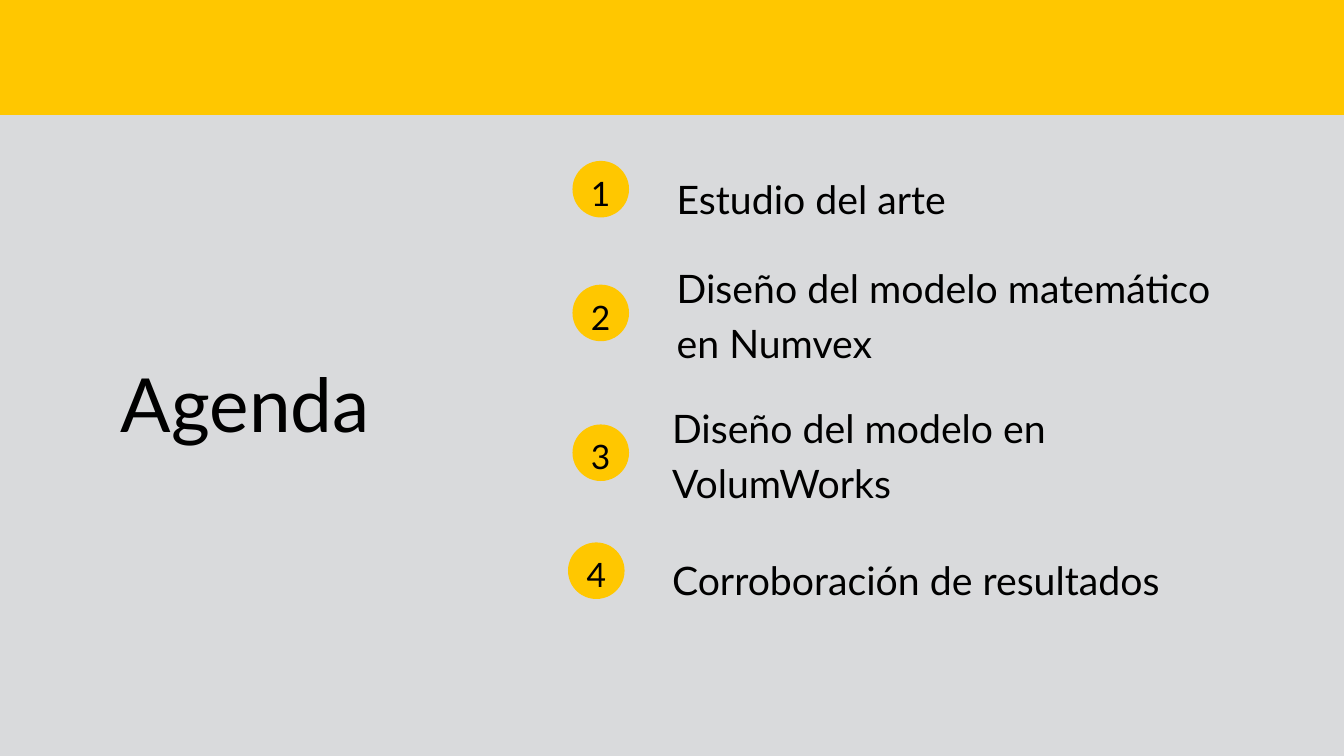
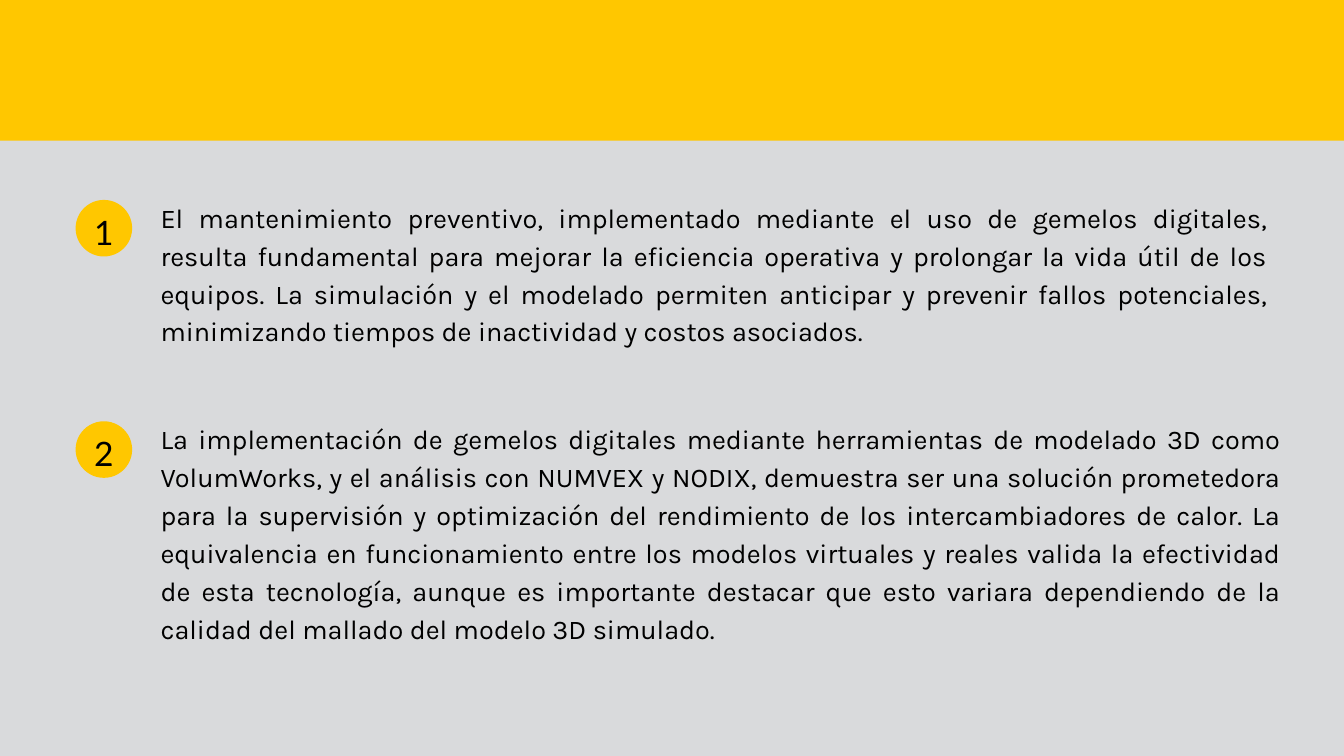
from dataclasses import dataclass

from pptx import Presentation
from pptx.dml.color import RGBColor
from pptx.enum.shapes import MSO_SHAPE
from pptx.enum.text import MSO_ANCHOR, PP_ALIGN
from pptx.util import Pt

RECT, OVAL = MSO_SHAPE.RECTANGLE, MSO_SHAPE.OVAL
TOP, MIDDLE = MSO_ANCHOR.TOP, MSO_ANCHOR.MIDDLE
LEFT, CENTER, JUSTIFY = PP_ALIGN.LEFT, PP_ALIGN.CENTER, PP_ALIGN.JUSTIFY
TITLE_ONLY, BLANK = 5, 6  # layout positions


@dataclass(frozen=True)
class Theme:
    """Colours, fonts and sizes; each type style is (font, size, line spacing)."""
    background: RGBColor = RGBColor(0xD9, 0xDA, 0xDC)
    accent: RGBColor = RGBColor(0xFF, 0xC7, 0x00)
    ink: RGBColor = RGBColor(0, 0, 0)
    title: tuple = ("Lato", 80, 96)
    topic: tuple = ("Lato", 42, 58.8)
    topic_single: tuple = ("Lato", 42, 84)
    number: tuple = ("Lato", 36, 56.5)
    body: tuple = ("Karla", 29, 40.6)
    badge: float = 60.6


THEME = Theme()
SLIDE_W, SLIDE_H = 1440, 810

# Topic, number of lines, badge left, text left, text top
AGENDA = [
    ("Estudio del arte", 1, 613.4, 725, 154),
    ("Diseño del modelo matemático en Numvex", 2, 613.4, 725, 275),
    ("Diseño del modelo en VolumWorks", 2, 613.4, 720, 424.8),
    ("Corroboración de resultados", 1, 608.6, 720, 562.8),
]

# Conclusion, text top, width, height
CONCLUSIONS = [
    ("El mantenimiento preventivo, implementado mediante el uso de gemelos "
     "digitales, resulta fundamental para mejorar la eficiencia operativa y "
     "prolongar la vida útil de los equipos. La simulación y el modelado permiten "
     "anticipar y prevenir fallos potenciales, minimizando tiempos de inactividad "
     "y costos asociados.", 209.8, 1187.3, 160.6),
    ("La implementación de gemelos digitales mediante herramientas de modelado 3D "
     "como VolumWorks, y el análisis con NUMVEX y NODIX, demuestra ser una solución "
     "prometedora para la supervisión y optimización del rendimiento de los "
     "intercambiadores de calor. La equivalencia en funcionamiento entre los "
     "modelos virtuales y reales valida la efectividad de esta tecnología, aunque "
     "es importante destacar que esto variara dependiendo de la calidad del mallado "
     "del modelo 3D simulado.", 447, 1201.7, 282.2),
]


def set_text(sp, text, style, align=LEFT, anchor=TOP, wrap=True):
    """Write one paragraph in a type style, without insets."""
    font, size, spacing = style
    tf = sp.text_frame
    tf.margin_left = tf.margin_top = tf.margin_right = tf.margin_bottom = 0
    tf.word_wrap, tf.vertical_anchor = wrap, anchor
    p = tf.paragraphs[0]
    p.text = text
    p.alignment, p.line_spacing = align, Pt(spacing)
    p.font.name, p.font.size = font, Pt(size)
    p.font.color.rgb = THEME.ink


def add_text(slide, box, text, style, align=LEFT):
    set_text(slide.shapes.add_textbox(*map(Pt, box)), text, style, align)


def add_accent(slide, kind, box):
    """Add a borderless shape in the accent colour."""
    sp = slide.shapes.add_shape(kind, *map(Pt, box))
    sp.shadow.inherit = False
    sp.fill.solid()
    sp.fill.fore_color.rgb = THEME.accent
    sp.line.fill.background()
    return sp


def add_band(slide, height):
    add_accent(slide, RECT, (0, 0, SLIDE_W, height))


def add_badge(slide, x, y, number):
    """Add a numbered circle."""
    sp = add_accent(slide, OVAL, (x, y, THEME.badge, THEME.badge))
    set_text(sp, str(number), THEME.number, CENTER, MIDDLE, wrap=False)
    sp.text_frame.margin_bottom = Pt(5.4)  # lifts the digit to the optical centre


def add_title(slide, box, text):
    sp = slide.shapes.title
    sp.left, sp.top, sp.width, sp.height = map(Pt, box)
    set_text(sp, text, THEME.title)


def add_topic(slide, number, topic, lines, badge_x, x, y):
    """Add one agenda entry; the badge sits lower beside two lines."""
    if lines == 1:
        style, height, drop = THEME.topic_single, 75.6, 18.4
    else:
        style, height, drop = THEME.topic, 114.5, 30
    add_badge(slide, badge_x, y + drop, number)
    add_text(slide, (x, y, 576.7, height), topic, style)


def add_conclusion(slide, number, box, text):
    """Add a justified paragraph with its badge in the left margin."""
    x, y = box[:2]
    add_badge(slide, x - 91, y + 4.4, number)
    add_text(slide, box, text, THEME.body, JUSTIFY)


def build_agenda(prs):
    slide = prs.slides.add_slide(prs.slide_layouts[TITLE_ONLY])
    add_band(slide, 123.2)
    add_title(slide, (129.6, 383, 335.5, 96), "Agenda")
    for number, entry in enumerate(AGENDA, 1):
        add_topic(slide, number, *entry)


def build_conclusions(prs):
    slide = prs.slides.add_slide(prs.slide_layouts[BLANK])
    add_band(slide, 150.8)
    for number, (text, y, w, h) in enumerate(CONCLUSIONS, 1):
        add_conclusion(slide, number, (172, y, w, h), text)


def main():
    prs = Presentation()
    prs.slide_width, prs.slide_height = Pt(SLIDE_W), Pt(SLIDE_H)
    # Shared background
    fill = prs.slide_master.background.fill
    fill.solid()
    fill.fore_color.rgb = THEME.background
    build_agenda(prs)
    build_conclusions(prs)
    prs.save("out.pptx")


if __name__ == "__main__":
    main()
